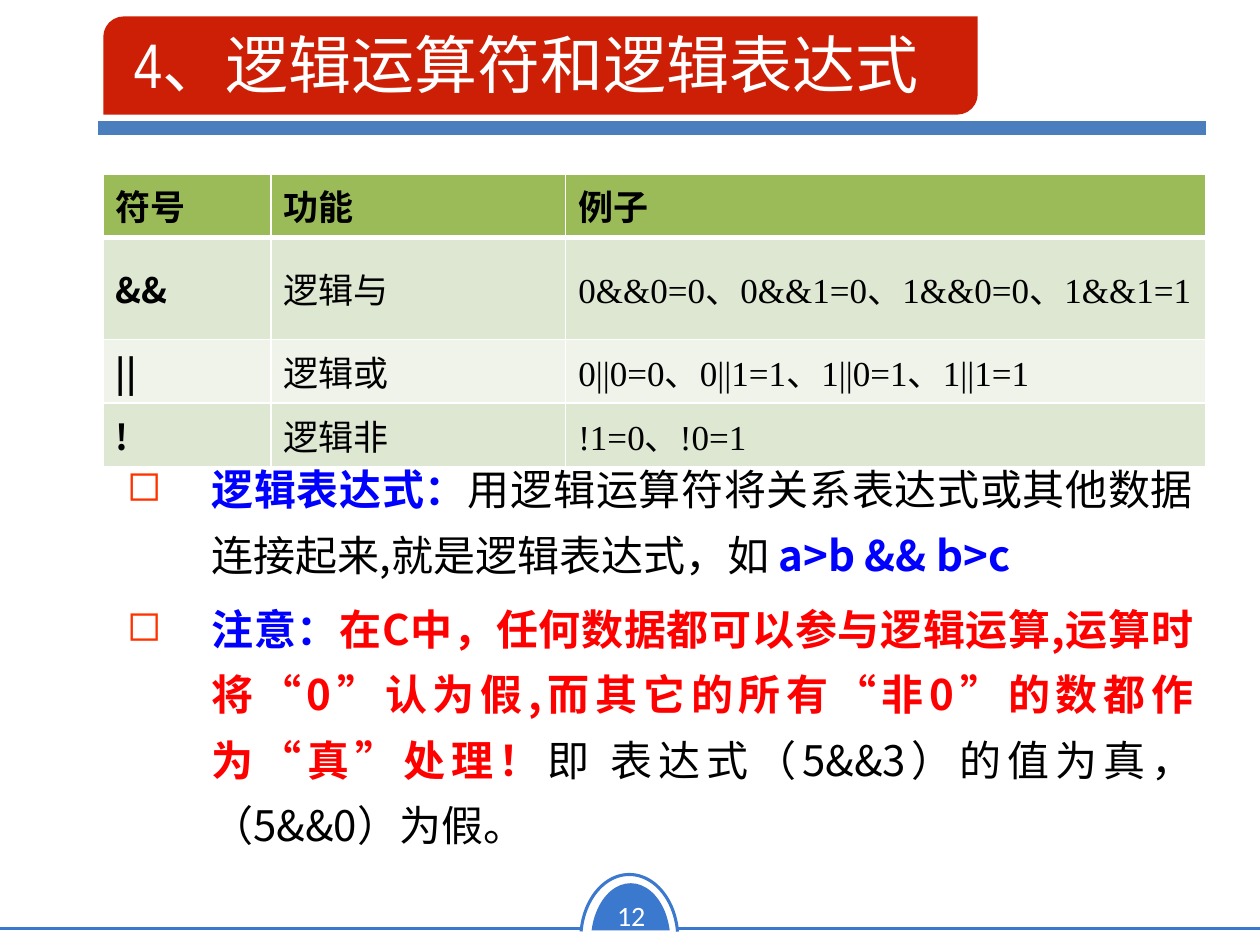
"""Build the slide on logical operators and logical expressions."""
from lxml import etree
from pptx import Presentation
from pptx.dml.color import RGBColor
from pptx.enum import shapes, text
from pptx.oxml import ns
from pptx.util import Inches, Pt

SANS = "Noto Sans CJK SC"
BLUE, RED, BLACK, WHITE = "0000FF", "FF0000", "000000", "FFFFFF"
FOOTER = "3B79CE"


def rgb(value):
    return RGBColor.from_string(value)


def add_run(p, words, size, color, bold=False, font=SANS):
    r = p.add_run()
    r.text = words
    r.font.size, r.font.bold, r.font.name = Pt(size), bold, font
    r.font.color.rgb = rgb(color)
    ea = etree.SubElement(r.font._element, ns.qn("a:ea"))
    ea.set("typeface", SANS)


prs = Presentation()
prs.slide_width, prs.slide_height = Inches(10), Inches(7.5)
s = prs.slides.add_slide(prs.slide_layouts[5])

for kind, box, rotation, adjustments, fill, line in [
    (shapes.MSO_SHAPE.CHORD, (4.55, 7.15, 0.91, 0.63), 90, (62.753, 153.29), FOOTER, None),
    (shapes.MSO_SHAPE.ARC, (4.61, 6.94, 0.77, 1.02), 0, (113.17, 210.975), None, FOOTER),
    (shapes.MSO_SHAPE.ROUND_2_DIAG_RECTANGLE, (0.82, 0.13, 6.94, 0.78), 0, (0.209, 0), "CD1F06", None),
]:
    sp = s.shapes.add_shape(kind, *map(Inches, box))
    sp.shadow.inherit = False
    sp.rotation = rotation
    for i, value in enumerate(adjustments):
        sp.adjustments[i] = value
    if fill:
        sp.fill.solid()
        sp.fill.fore_color.rgb = rgb(fill)
    else:
        sp.fill.background()
    if line:
        sp.line.color.rgb = rgb(line)
        sp.line.width = Pt(1.77)
    else:
        sp.line.fill.background()

for x1, x2, y, color, width in [
    (5.38, 10, 7.37, FOOTER, 1.77),
    (0, 4.62, 7.37, FOOTER, 1.77),
    (0.78, 9.57, 1.02, "4B7EBC", 8),
]:
    rule = s.shapes.add_connector(
        shapes.MSO_CONNECTOR.STRAIGHT, Inches(x1), Inches(y), Inches(x2), Inches(y))
    rule.line.color.rgb = rgb(color)
    rule.line.width = Pt(width)
    etree.SubElement(rule._element.spPr, ns.qn("a:effectLst"))

number = s.shapes.add_textbox(Inches(4.78), Inches(7.08), Inches(0.46), Inches(0.37))
p = number.text_frame.paragraphs[0]
p.alignment = text.PP_ALIGN.CENTER
add_run(p, "12", 16, WHITE, font="Calibri")

title = s.shapes.title
s.shapes._spTree.append(title._element)
title.left, title.top, title.width, title.height = map(Inches, (1.06, 0.2, 7.02, 0.61))
tf = title.text_frame
tf.margin_left = tf.margin_right = tf.margin_top = tf.margin_bottom = 0
tf.vertical_anchor = text.MSO_ANCHOR.MIDDLE
p = tf.paragraphs[0]
p.alignment = text.PP_ALIGN.LEFT
add_run(p, "4、逻辑运算符和逻辑表达式", 36, WHITE, font="Arial Narrow")

rows = [
    ("符号", "功能", "例子"),
    ("&&", "逻辑与", "0&&0=0、0&&1=0、1&&0=0、1&&1=1"),
    ("||", "逻辑或", "0||0=0、0||1=1、1||0=1、1||1=1"),
    ("!", "逻辑非", "!1=0、!0=1"),
]
table = s.shapes.add_table(
    4, 3, Inches(0.82), Inches(1.38), Inches(8.75), Inches(1.68)).table
for column, width in zip(table.columns, (1.33, 2.34, 5.08)):
    column.width = Inches(width)
for i, (row, fill) in enumerate(zip(rows, ("9BBB59", "DEE7D1", "EFF3EA", "DEE7D1"))):
    table.rows[i].height = Inches(0.43 if i else 0.39)
    for j, words in enumerate(row):
        cell = table.cell(i, j)
        cell.vertical_anchor = text.MSO_ANCHOR.MIDDLE
        for side in "LRTB":
            thick = (i, side) in ((0, "B"), (1, "T"))
            ln = etree.SubElement(cell._tc.get_or_add_tcPr(), ns.qn(f"a:ln{side}"))
            ln.set("w", str(Pt(3 if thick else 1)))
            solid = etree.SubElement(ln, ns.qn("a:solidFill"))
            etree.SubElement(solid, ns.qn("a:srgbClr")).set("val", WHITE)
        cell.fill.solid()
        cell.fill.fore_color.rgb = rgb(fill)
        add_run(cell.text_frame.paragraphs[0], words, 20, BLACK, i == 0 or j == 0,
                "Times New Roman" if i and j == 2 else SANS)

body = s.shapes.add_textbox(Inches(0.91), Inches(3.51), Inches(8.66), Inches(3.62))
tf = body.text_frame
tf.word_wrap = True
for i, runs in enumerate([
    [("逻辑表达式：", BLUE, True),
     ("用逻辑运算符将关系表达式或其他数据连接起来,就是逻辑表达式，如 ", BLACK, False),
     ("a>b && b>c", BLUE, True)],
    [("注意：", BLUE, True),
     ("在C中，任何数据都可以参与逻辑运算,运算时将“0”认为假,而其它的所有“非0”的数都作为“真”处理！", RED, True),
     ("即 表达式（5&&3）的值为真，（5&&0）为假。", BLACK, False)],
]):
    p = tf.add_paragraph() if i else tf.paragraphs[0]
    p.alignment = text.PP_ALIGN.JUSTIFY
    p.line_spacing = 1.3
    if i:
        p.space_before = Pt(5)
    pPr = p._p.get_or_add_pPr()
    pPr.set("marL", str(Inches(0.67)))
    pPr.set("indent", str(Inches(-0.67)))
    bullet_color = etree.SubElement(pPr, ns.qn("a:buClr"))
    etree.SubElement(bullet_color, ns.qn("a:srgbClr")).set("val", "FF3300")
    etree.SubElement(pPr, ns.qn("a:buChar")).set("char", "◻")
    for words, color, bold in runs:
        add_run(p, words, 24, color, bold)

prs.save("out.pptx")
